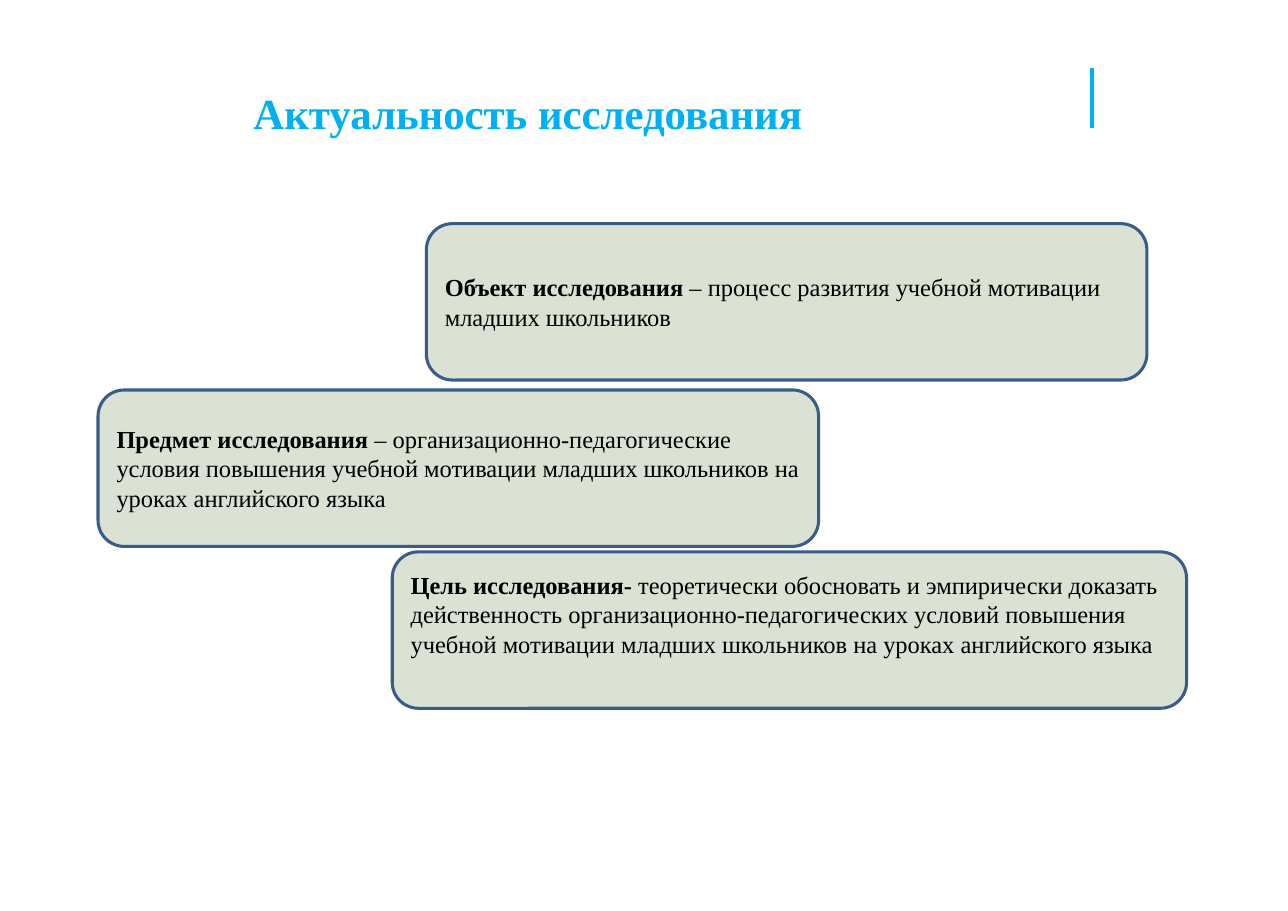
from pptx import Presentation
from pptx.dml.color import RGBColor
from pptx.enum.shapes import MSO_CONNECTOR as Connector, MSO_SHAPE as Shape
from pptx.enum.text import MSO_ANCHOR as Anchor, MSO_AUTO_SIZE as AutoSize, PP_ALIGN as Align
from pptx.oxml.ns import qn
from pptx.util import Inches, Pt
from lxml.etree import SubElement

WIDTH, HEIGHT = 11.69, 8.27
FONT = "Times New Roman"
ACCENT, PANEL, BORDER, INK = "00B0F0", "DBE1D3", "385D8A", "000000"

TITLE = "Актуальность исследования"
TITLE_AREA = (0.27, 0.78, 9.04, 1.22)
MARK_X, MARK_TOP, MARK_BOTTOM = 9.91, 0.62, 1.16

PANEL_HEIGHT = 1.42
PANELS = [
    {"left": 3.87, "top": 2.03, "width": 6.54, "bottom_inset": 0.05,
     "term": "Объект исследования",
     "text": " – процесс развития учебной мотивации младших школьников"},
    {"left": 0.89, "top": 3.54, "width": 6.54, "bottom_inset": 0.05,
     "term": "Предмет исследования ",
     "text": "– организационно-педагогические условия повышения учебной мотивации "
             "младших школьников на уроках английского языка"},
    {"left": 3.56, "top": 5.01, "width": 7.21, "bottom_inset": 0.34,
     "term": "Цель исследования- ",
     "text": "теоретически обосновать и эмпирически доказать действенность "
             "организационно-педагогических условий повышения учебной мотивации "
             "младших школьников на уроках английского языка"},
]


def color(value):
    return RGBColor.from_string(value)


def format_run(run, size, value, bold):
    run.font.name = FONT
    run.font.size = Pt(size)
    run.font.bold = bold
    run.font.color.rgb = color(value)


def set_frame(frame, anchor, side, top, bottom):
    frame.word_wrap = True
    frame.auto_size = AutoSize.NONE
    frame.vertical_anchor = anchor
    frame.margin_left = frame.margin_right = Inches(side)
    frame.margin_top, frame.margin_bottom = Inches(top), Inches(bottom)


def add_mark(slide):
    x = Inches(MARK_X)
    mark = slide.shapes.add_connector(
        Connector.STRAIGHT, x, Inches(MARK_TOP), x, Inches(MARK_BOTTOM))
    mark.line.color.rgb = color(ACCENT)
    mark.line.width = Pt(2.25)
    SubElement(mark._element.spPr, qn("a:effectLst"))


def fill_title(title):
    title.left, title.top, title.width, title.height = map(Inches, TITLE_AREA)
    frame = title.text_frame
    frame.text = TITLE
    set_frame(frame, Anchor.TOP, 0.11, 0.06, 0.06)
    paragraph = frame.paragraphs[0]
    paragraph.alignment = Align.CENTER
    paragraph.line_spacing = 0.9
    format_run(paragraph.runs[0], 28, ACCENT, True)


def add_panel(slide, panel):
    area = (panel["left"], panel["top"], panel["width"], PANEL_HEIGHT)
    shape = slide.shapes.add_shape(Shape.ROUNDED_RECTANGLE, *map(Inches, area))
    shape.adjustments[0] = 0.167
    shape.shadow.inherit = False
    shape.fill.solid()
    shape.fill.fore_color.rgb = color(PANEL)
    shape.line.color.rgb = color(BORDER)
    shape.line.width = Pt(2)
    set_frame(shape.text_frame, Anchor.MIDDLE, 0.1, 0.05, panel["bottom_inset"])
    paragraph = shape.text_frame.paragraphs[0]
    paragraph.alignment = Align.LEFT
    for part, bold in (("term", True), ("text", False)):
        run = paragraph.add_run()
        run.text = panel[part]
        format_run(run, 16, INK, bold)


def main():
    presentation = Presentation()
    presentation.slide_width = Inches(WIDTH)
    presentation.slide_height = Inches(HEIGHT)
    slide = presentation.slides.add_slide(presentation.slide_layouts[5])
    add_mark(slide)
    fill_title(slide.shapes.title)
    for panel in PANELS:
        add_panel(slide, panel)
    presentation.save("out.pptx")


if __name__ == "__main__":
    main()
